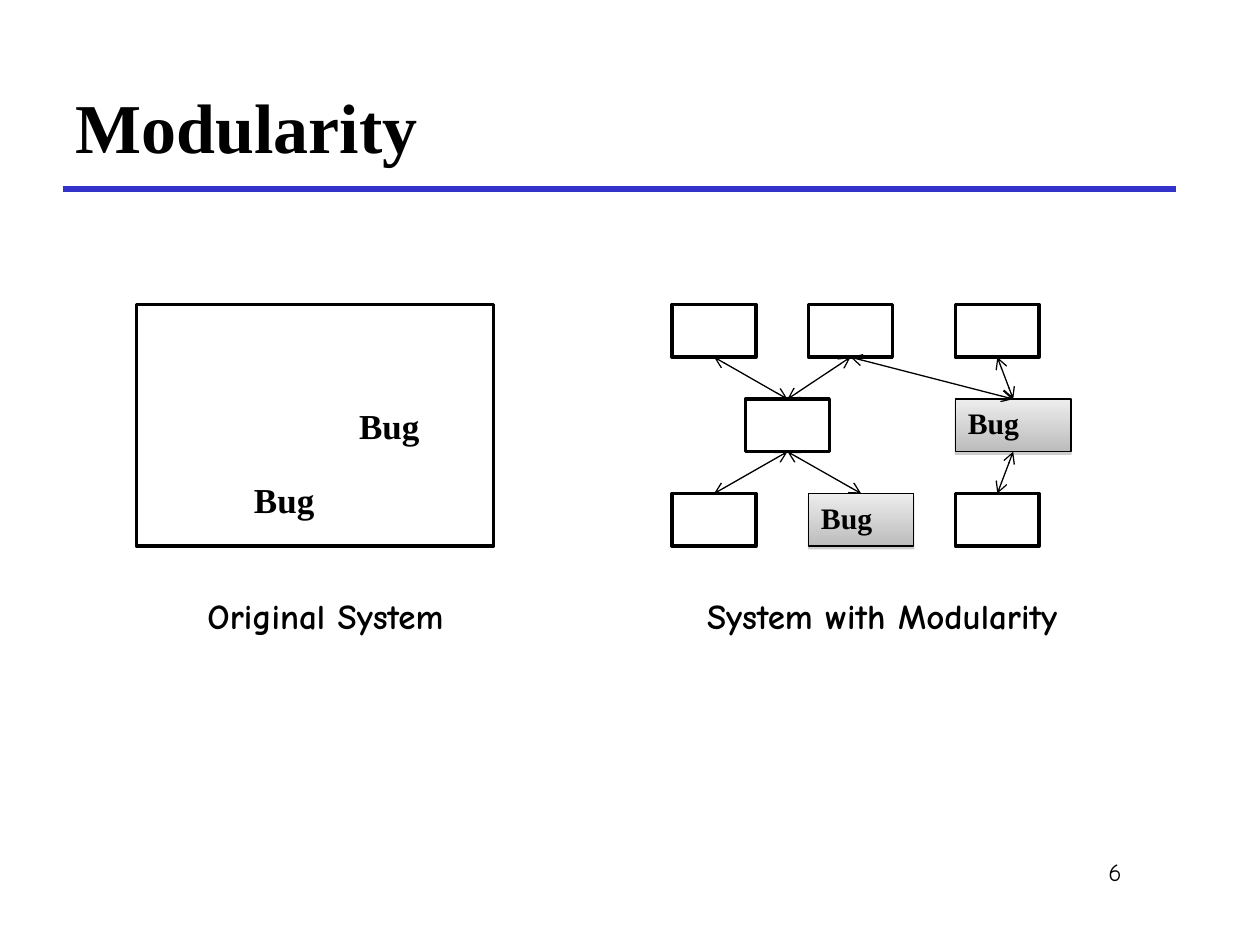
import pptx
import pptx.util
import pptx.dml.color
import pptx.enum.shapes
import pptx.enum.text
import pptx.oxml
import pptx.oxml.ns
from lxml import etree

Cm, Pt = pptx.util.Cm, pptx.util.Pt
RGB = pptx.dml.color.RGBColor
SHAPE = pptx.enum.shapes.MSO_SHAPE
LINE = pptx.enum.shapes.MSO_CONNECTOR.STRAIGHT
ALIGN = pptx.enum.text.PP_ALIGN
ANCHOR = pptx.enum.text.MSO_ANCHOR
qn = pptx.oxml.ns.qn

BLACK = RGB(0x00, 0x00, 0x00)
WHITE = RGB(0xFF, 0xFF, 0xFF)
BLUE = RGB(0x33, 0x33, 0xCC)
LIGHT_GREY = RGB(0xED, 0xED, 0xED)
MID_GREY = RGB(0xBC, 0xBC, 0xBC)
SERIF, COMIC = "Times New Roman", "Comic Neue"

SHADOW = (
    '<a:outerShdw xmlns:a="http://schemas.openxmlformats.org/drawingml/2006/main"'
    ' blurRad="0" dist="20320" dir="5400000" rotWithShape="0">'
    '<a:srgbClr val="808080"><a:alpha val="38000"/></a:srgbClr></a:outerShdw>'
)


def write(sp, text, font, size, bold=True, align=ALIGN.LEFT, anchor=ANCHOR.MIDDLE):
    tf = sp.text_frame
    for name, value in {"word_wrap": True, "vertical_anchor": anchor,
                        "auto_size": pptx.enum.text.MSO_AUTO_SIZE.NONE}.items():
        setattr(tf, name, value)
    p = tf.paragraphs[0]
    p.alignment = align
    r = p.add_run()
    r.text = text
    for name, value in {"name": font, "size": Pt(size), "bold": bold}.items():
        setattr(r.font, name, value)
    r.font.color.rgb = BLACK
    return p


def add_box(s, left, top, width, height, line_width=2):
    sp = s.shapes.add_shape(SHAPE.RECTANGLE, Cm(left), Cm(top), Cm(width), Cm(height))
    sp.shadow.inherit = False
    sp.fill.solid()
    sp.fill.fore_color.rgb = WHITE
    sp.line.color.rgb = BLACK
    sp.line.width = Pt(line_width)
    return sp


prs = pptx.Presentation()
prs.slide_width, prs.slide_height = Cm(25.4), Cm(19.05)
s = prs.slides.add_slide(prs.slide_layouts[5])

# Title and rule
title = s.shapes.title
for name, value in {"left": 1.27, "top": 1.27, "width": 22.43, "height": 2.54}.items():
    setattr(title, name, Cm(value))
write(title, "Modularity", SERIF, 40)
rule = s.shapes.add_connector(LINE, Cm(1.27), Cm(3.81), Cm(23.7), Cm(3.81))
rule.line.color.rgb = BLUE
rule.line.width = Pt(3)
etree.SubElement(rule._element.spPr, qn("a:effectLst"))

# Original system
add_box(s, 2.75, 6.14, 7.2, 4.87)

# Modules: name, column left, row, width, holds a bug
ROW_TOP, ROW_STEP, BOX_W, BOX_H = 6.14, 1.905, 1.69, 1.06
COLUMNS = [13.55, 16.3, 19.26]
modules = [
    ("top left", COLUMNS[0], 0, BOX_W, False),
    ("top middle", COLUMNS[1], 0, BOX_W, False),
    ("top right", COLUMNS[2], 0, BOX_W, False),
    ("centre", 15.03, 1, BOX_W, False),
    ("centre right", COLUMNS[2], 1, 2.33, True),
    ("bottom left", COLUMNS[0], 2, BOX_W, False),
    ("bottom middle", COLUMNS[1], 2, 2.12, True),
    ("bottom right", COLUMNS[2], 2, BOX_W, False),
]
boxes = {}
for name, left, row, width, buggy in modules:
    sp = add_box(s, left, ROW_TOP + row * ROW_STEP, width, BOX_H, 0.75 if buggy else 2)
    boxes[name] = sp
    if buggy:
        sp.fill.gradient()
        sp.fill.gradient_angle = 270
        for stop, colour in zip(sp.fill.gradient_stops, (LIGHT_GREY, MID_GREY)):
            stop.color.rgb = colour
        effects = sp._element.spPr.find(qn("a:effectLst"))
        effects.append(pptx.oxml.parse_xml(SHADOW))
        write(sp, "Bug", SERIF, 17).line_spacing = 0.9

# Two-way links, from the bottom of the upper box to the top of the lower one
links = [
    ("top left", "centre"),
    ("top middle", "centre"),
    ("top middle", "centre right"),
    ("top right", "centre right"),
    ("centre", "bottom left"),
    ("centre", "bottom middle"),
    ("centre right", "bottom right"),
]
for upper, lower in links:
    link = s.shapes.add_connector(LINE, 0, 0, 0, 0)
    link.begin_connect(boxes[upper], 2)
    link.end_connect(boxes[lower], 0)
    link.line.color.rgb = BLACK
    link.line.width = Pt(0.75)
    for tag in ("a:headEnd", "a:tailEnd"):
        etree.SubElement(link.line._get_or_add_ln(), qn(tag), type="arrow")
    etree.SubElement(link._element.spPr, qn("a:effectLst"))

# Loose bugs, captions and page number
bug = {"font": SERIF, "size": 20}
caption = {"font": COMIC, "size": 20, "align": ALIGN.CENTER, "anchor": ANCHOR.TOP}
number = {"font": COMIC, "size": 14, "bold": False, "align": ALIGN.RIGHT,
          "anchor": ANCHOR.TOP}
labels = [
    ("Bug", 4.87, 9.53, 2.12, 1.06, bug),
    ("Bug", 6.99, 8.05, 2.33, 1.06, bug),
    ("Original System", 2.33, 11.85, 8.47, 1.11, caption),
    ("System with Modularity", 13.55, 11.85, 8.47, 1.11, caption),
    ("6", 19.26, 17.15, 3.6, 1.27, number),
]
for text, left, top, width, height, style in labels:
    sp = s.shapes.add_textbox(Cm(left), Cm(top), Cm(width), Cm(height))
    write(sp, text, **style)

prs.save("out.pptx")
